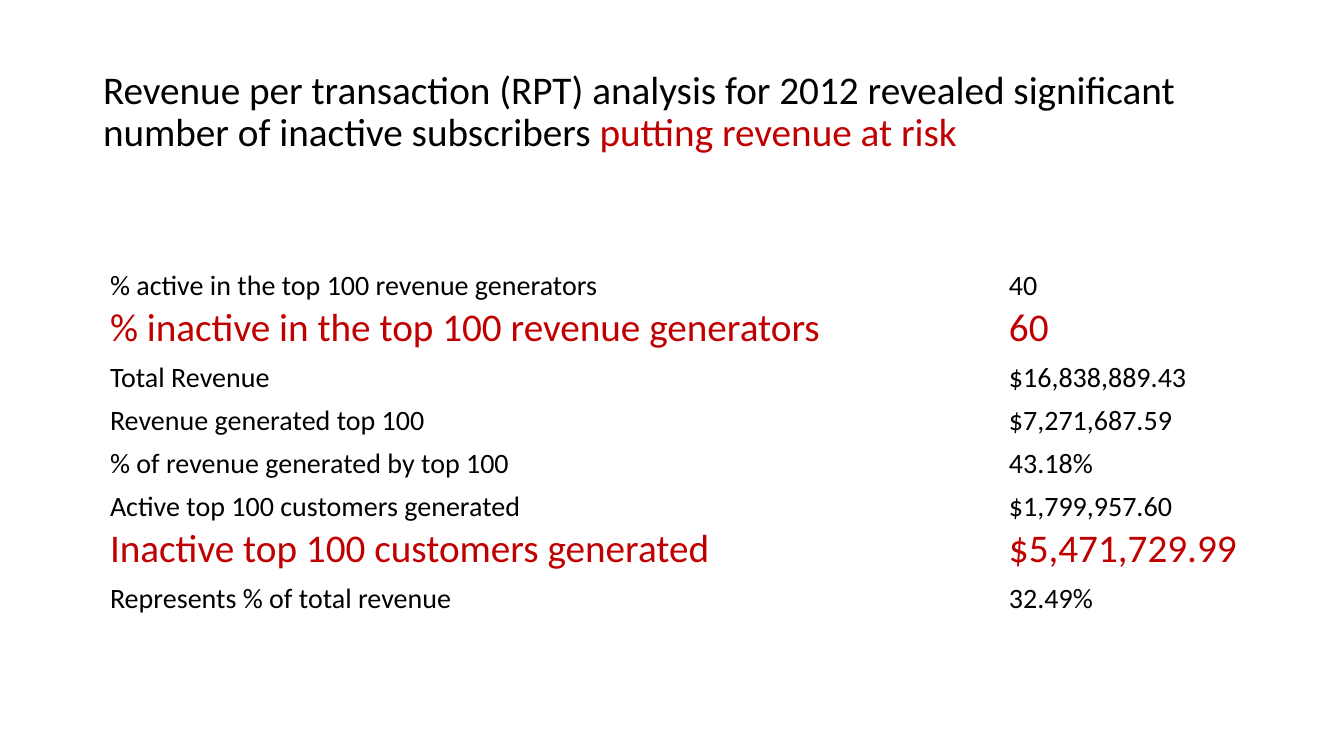
from pptx import Presentation
from pptx.dml.color import RGBColor
from pptx.enum.text import MSO_ANCHOR, PP_ALIGN
from pptx.util import Pt

COLORS = {"text": "000000", "risk": "C00000"}
FONT = "Calibri"
TITLE = [
    ("Revenue per transaction (RPT) analysis for 2012 revealed significant "
     "number of inactive subscribers ", "text"),
    ("putting revenue at risk", "risk"),
]
# label, value, highlighted
METRICS = [
    ("% active in the top 100 revenue generators", "40", False),
    ("% inactive in the top 100 revenue generators", "60", True),
    ("Total Revenue", "$16,838,889.43", False),
    ("Revenue generated top 100", "$7,271,687.59", False),
    ("% of revenue generated by top 100", "43.18%", False),
    ("Active top 100 customers generated", "$1,799,957.60", False),
    ("Inactive top 100 customers generated", "$5,471,729.99", True),
    ("Represents % of total revenue", "32.49%", False),
]
SLIDE_SIZE = (1344, 756)
TITLE_BOX = (93, 40, 1159, 146)
TABLE_LEFT, TABLE_TOP = 109, 217
COLUMN_WIDTHS = (899, 260)
ROW_HEIGHT = 43


def px(n):
    return round(n * 914400 / 100.8)


def style(font, size, color):
    font.name = FONT
    font.size = Pt(size)
    font.color.rgb = RGBColor.from_string(COLORS[color])


def add_title(s):
    title = s.shapes.title
    title.left, title.top, title.width, title.height = map(px, TITLE_BOX)
    tf = title.text_frame
    tf.word_wrap = True
    tf.vertical_anchor = MSO_ANCHOR.MIDDLE
    p = tf.paragraphs[0]
    p.alignment = PP_ALIGN.LEFT
    p.line_spacing = 0.9
    for text, color in TITLE:
        r = p.add_run()
        r.text = text
        style(r.font, 28, color)


def add_metrics(s):
    rows = len(METRICS) + 1
    table = s.shapes.add_table(
        rows, len(COLUMN_WIDTHS), px(TABLE_LEFT), px(TABLE_TOP),
        px(sum(COLUMN_WIDTHS)), px(ROW_HEIGHT * rows)).table
    table.first_row = table.horz_banding = False
    for column, width in zip(table.columns, COLUMN_WIDTHS):
        column.width = px(width)
    for cell in table.iter_cells():
        cell.fill.background()
    table.cell(0, 0).merge(table.cell(0, 1))

    for i, (label, value, highlighted) in enumerate(METRICS, 1):
        for j, text in enumerate((label, value)):
            cell = table.cell(i, j)
            cell.margin_left = cell.margin_right = cell.margin_top = px(1)
            cell.margin_bottom = 0
            cell.vertical_anchor = MSO_ANCHOR.BOTTOM
            cell.text = text
            size, color = (28, "risk") if highlighted else (20, "text")
            style(cell.text_frame.paragraphs[0].font, size, color)


def main():
    prs = Presentation()
    prs.slide_width, prs.slide_height = map(px, SLIDE_SIZE)
    s = prs.slides.add_slide(prs.slide_layouts[5])
    add_title(s)
    add_metrics(s)
    prs.save("out.pptx")


if __name__ == "__main__":
    main()
